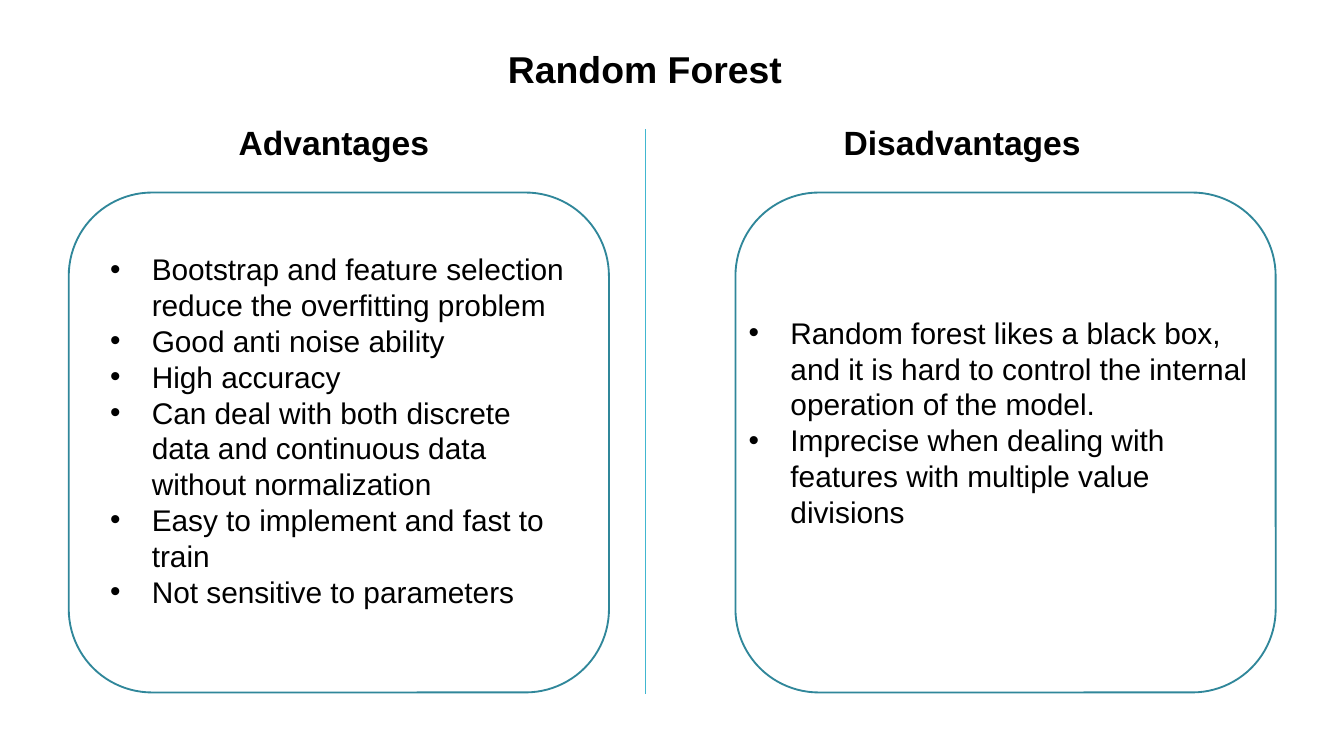
import pptx
import pptx.dml.color
import pptx.enum.shapes
import pptx.enum.text
import pptx.oxml.ns
import pptx.util
from lxml import etree
from pptx.util import Cm

BLACK = pptx.dml.color.RGBColor(0x00, 0x00, 0x00)
PANEL_TEAL = pptx.dml.color.RGBColor(0x30, 0x87, 0x9A)
DIVIDER_TEAL = pptx.dml.color.RGBColor(0x41, 0xB7, 0xD0)


def add_textbox(left, top, width, height, wrap=True):
    box = slide.shapes.add_textbox(Cm(left), Cm(top), Cm(width), Cm(height))
    box.text_frame.word_wrap = wrap
    return box.text_frame


def add_run(paragraph, text, size, bold=False):
    run = paragraph.add_run()
    run.text = text
    run.font.name = "Arial"
    run.font.size = pptx.util.Pt(size)
    run.font.bold = bold
    run.font.color.rgb = BLACK


presentation = pptx.Presentation()
presentation.slide_width = Cm(25.4)
presentation.slide_height = Cm(14.29)
slide = presentation.slides.add_slide(presentation.slide_layouts[6])

title = add_textbox(9.35, 0.74, 5.74, 1.12, wrap=False)
add_run(title.paragraphs[0], "Random Forest", 20, bold=True)

divider = slide.shapes.add_connector(
    pptx.enum.shapes.MSO_CONNECTOR.STRAIGHT, Cm(12.19), Cm(2.44), Cm(12.19), Cm(13.11)
)
divider.line.color.rgb = DIVIDER_TEAL
divider.line.width = pptx.util.Pt(0.5)
etree.SubElement(divider.element.spPr, pptx.oxml.ns.qn("a:effectLst"))

columns = [
    ("Advantages ", (2.08, 8.64), True, 1.3, (1.83, 4.62, 9.14, 7.77), [
        "Bootstrap and feature selection reduce the overfitting problem",
        "Good anti noise ability",
        "High accuracy",
        "Can deal with both discrete data and continuous data without normalization",
        "Easy to implement and fast to train",
        "Not sensitive to parameters",
    ]),
    ("Disadvantages", (15.67, 5.03), False, 13.9, (13.9, 5.82, 10.21, 4.37), [
        "Random forest likes a black box, and it is hard to control the internal operation of the model.",
        "Imprecise when dealing with features with multiple value divisions",
    ]),
]

for heading_text, (heading_left, heading_width), wrap, panel_left, list_area, points in columns:
    heading = add_textbox(heading_left, 2.18, heading_width, 1.02, wrap)
    heading.paragraphs[0].alignment = pptx.enum.text.PP_ALIGN.CENTER
    add_run(heading.paragraphs[0], heading_text, 18, bold=True)

    panel = slide.shapes.add_shape(
        pptx.enum.shapes.MSO_SHAPE.ROUNDED_RECTANGLE,
        Cm(panel_left), Cm(3.64), Cm(10.21), Cm(9.45),
    )
    panel.shadow.inherit = False
    panel.fill.background()
    panel.line.color.rgb = PANEL_TEAL
    panel.line.width = pptx.util.Pt(1)

    point_list = add_textbox(*list_area)
    for index, point in enumerate(points):
        paragraph = point_list.add_paragraph() if index else point_list.paragraphs[0]
        properties = paragraph._p.get_or_add_pPr()
        properties.set("marL", str(Cm(0.79)))
        properties.set("indent", str(-Cm(0.79)))
        etree.SubElement(properties, pptx.oxml.ns.qn("a:buFont"), typeface="Arial")
        etree.SubElement(properties, pptx.oxml.ns.qn("a:buChar"), char="•")
        add_run(paragraph, point, 16)

presentation.save("out.pptx")
